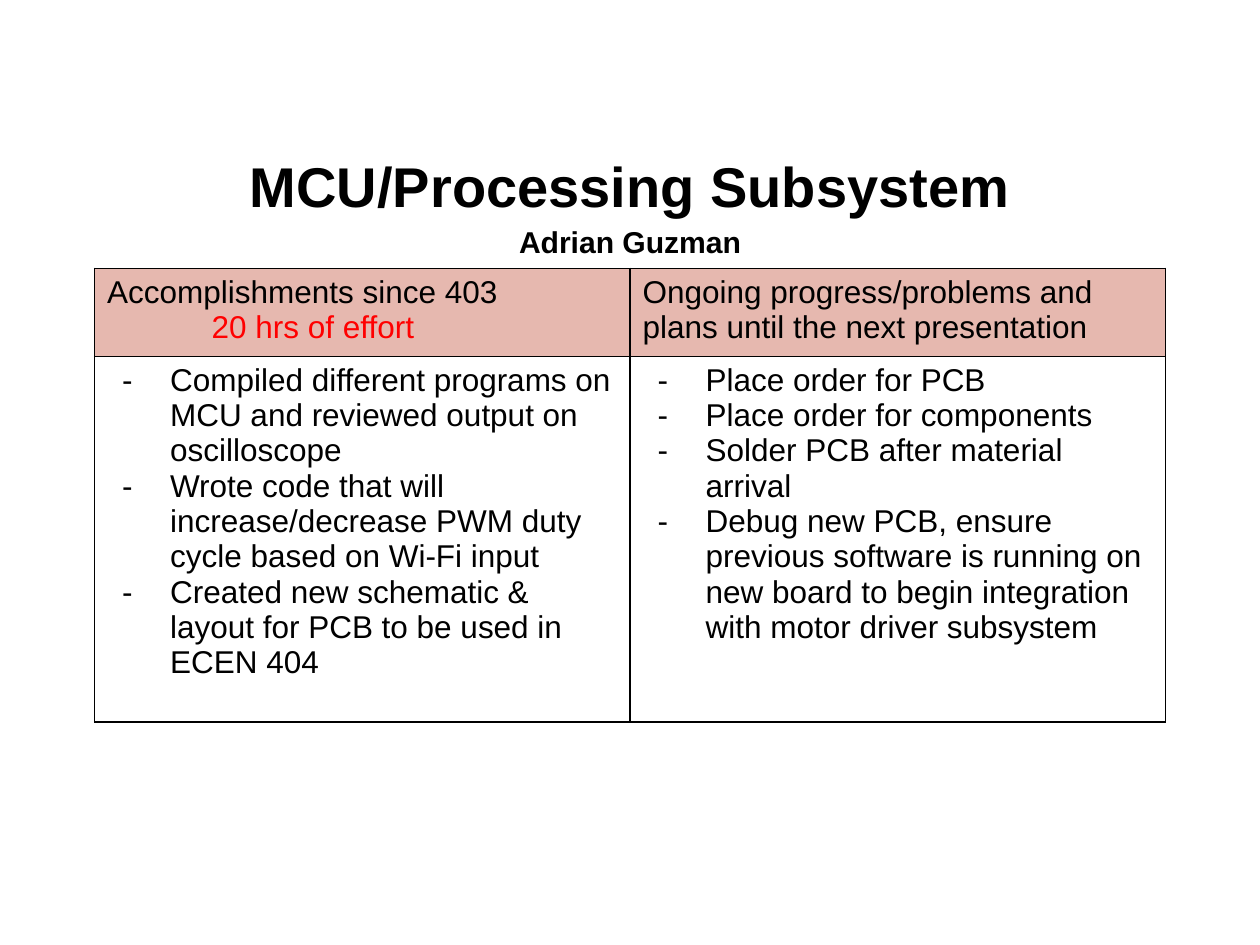
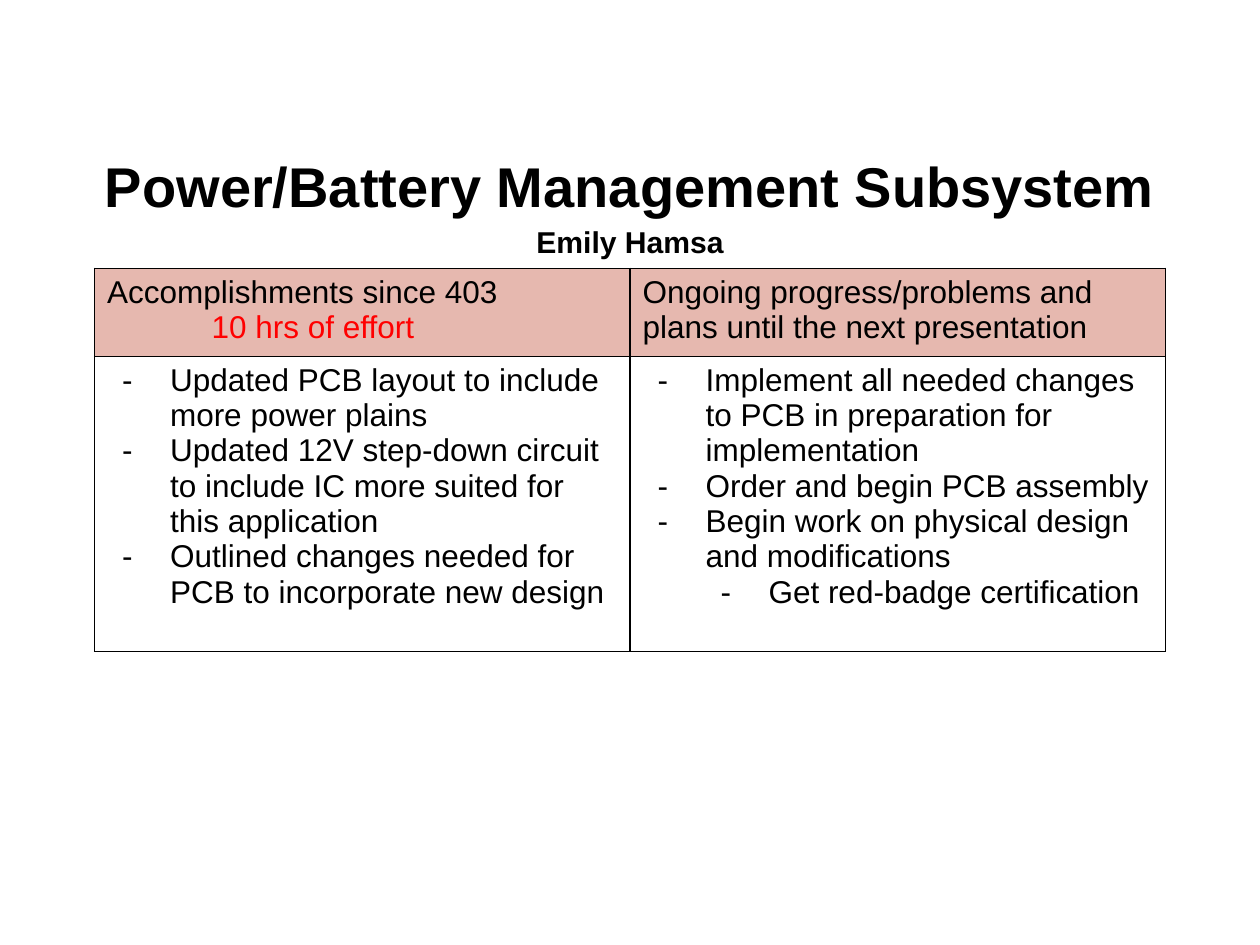
import pptx
import pptx.dml.color
import pptx.enum.text
import pptx.oxml
import pptx.oxml.ns
import pptx.util
from pptx.util import Inches

# Content: bullets are (level, text)
DONE_HEADING = "Accomplishments since 403"
PLAN_HEADING = "Ongoing progress/problems and plans until the next presentation"
SUBSYSTEMS = [
    {
        "title": "MCU/Processing Subsystem",
        "owner": "Adrian Guzman",
        "effort": "20 hrs of effort",
        "body_height": 2.9,
        "done": [
            (0, "Compiled different programs on MCU and reviewed output on oscilloscope"),
            (0, "Wrote code that will increase/decrease PWM duty cycle based on Wi-Fi input"),
            (0, "Created new schematic & layout for PCB to be used in ECEN 404"),
        ],
        "plans": [
            (0, "Place order for PCB"),
            (0, "Place order for components"),
            (0, "Solder PCB after material arrival"),
            (0, "Debug new PCB, ensure previous software is running on new board "
                "to begin integration with motor driver subsystem"),
        ],
    },
    {
        "title": "Power/Battery Management Subsystem",
        "owner": "Emily Hamsa",
        "effort": "10 hrs of effort",
        "body_height": 2.34,
        "done": [
            (0, "Updated PCB layout to include more power plains"),
            (0, "Updated 12V step-down circuit to include IC more suited for this application"),
            (0, "Outlined changes needed for PCB to incorporate new design"),
        ],
        "plans": [
            (0, "Implement all needed changes to PCB in preparation for implementation"),
            (0, "Order and begin PCB assembly"),
            (0, "Begin work on physical design and modifications"),
            (1, "Get red-badge certification"),
        ],
    },
]

# Shared look, lengths in inches
FONT, BLACK, RED, HEADER_FILL = "Arial", "000000", "FF0000", "E6B8AF"
WIDTH, HEIGHT = 10, 7.5
TITLE_AREA = (0.5, 1.15, 9, 0.88)
TABLE_LEFT, TABLE_TOP, HEADER_HEIGHT = 0.75, 2.13, 0.7
COLUMN_WIDTH = (WIDTH - 2 * TABLE_LEFT) / 2
INDENT_STEP, HANGING, EFFORT_INDENT = 0.5, 0.38, 0.83


def rgb(value):
    return pptx.dml.color.RGBColor.from_string(value)


def add_xml(parent, xml):
    namespace = pptx.oxml.ns.nsdecls("a")
    parent.append(pptx.oxml.parse_xml(xml.replace(" ", f" {namespace} ", 1)))


def style(para, size, color=BLACK, bold=False):
    para.font.name = FONT
    para.font.size = pptx.util.Pt(size)
    para.font.bold = bold
    para.font.color.rgb = rgb(color)


def indent(para, left, hanging=0):
    props = para._p.get_or_add_pPr()
    props.set("marL", str(Inches(left)))
    props.set("indent", str(-Inches(hanging)))
    return props


def write_lines(frame, lines):
    """Fill a text frame and return its paragraphs, one for each line."""
    paras = [frame.paragraphs[0]] + [frame.add_paragraph() for _ in lines[1:]]
    for para, line in zip(paras, lines):
        para.text = line
    return paras


def write_bullets(cell, bullets):
    paras = write_lines(cell.text_frame, [text for _, text in bullets])
    for para, (level, _) in zip(paras, bullets):
        para.level = level
        props = indent(para, INDENT_STEP * (level + 1), HANGING)
        add_xml(props, f'<a:buClr ><a:srgbClr val="{BLACK}"/></a:buClr>')
        add_xml(props, f'<a:buFont typeface="{FONT}"/>')
        add_xml(props, '<a:buChar char="-"/>')
        style(para, 18)


def format_cell(cell, fill=None):
    cell.margin_left = cell.margin_right = Inches(0.1)
    cell.margin_top = cell.margin_bottom = Inches(0.05)
    props = cell._tc.get_or_add_tcPr()
    for side in "LRTB":
        add_xml(props, f'<a:ln{side} w="{pptx.util.Pt(1)}"><a:solidFill>'
                       f'<a:srgbClr val="{BLACK}"/></a:solidFill></a:ln{side}>')
    if fill:
        cell.fill.solid()
        cell.fill.fore_color.rgb = rgb(fill)
    else:
        cell.fill.background()


def add_title(page, title, owner):
    box = page.shapes.title
    box.left, box.top, box.width, box.height = map(Inches, TITLE_AREA)
    frame = box.text_frame
    frame.word_wrap = True
    frame.auto_size = pptx.enum.text.MSO_AUTO_SIZE.NONE
    frame.vertical_anchor = pptx.enum.text.MSO_ANCHOR.MIDDLE
    for para, size in zip(write_lines(frame, [title, owner]), (32, 17.2)):
        para.alignment = pptx.enum.text.PP_ALIGN.CENTER
        para.line_spacing = 1.15
        para.space_before = pptx.util.Pt(0)
        style(para, size, bold=True)


def add_status_table(page, subsystem):
    heights = (HEADER_HEIGHT, subsystem["body_height"])
    table = page.shapes.add_table(
        2, 2, Inches(TABLE_LEFT), Inches(TABLE_TOP),
        Inches(2 * COLUMN_WIDTH), Inches(sum(heights))).table
    table.first_row = table.horz_banding = False
    for row, height in zip(table.rows, heights):
        row.height = Inches(height)
    for column in range(2):
        format_cell(table.cell(0, column), HEADER_FILL)
        format_cell(table.cell(1, column))

    # Header row
    heading, effort = write_lines(
        table.cell(0, 0).text_frame, [DONE_HEADING, subsystem["effort"]])
    style(heading, 18)
    indent(effort, EFFORT_INDENT)
    style(effort, 18, RED)
    style(write_lines(table.cell(0, 1).text_frame, [PLAN_HEADING])[0], 18)

    # Body row
    write_bullets(table.cell(1, 0), subsystem["done"])
    write_bullets(table.cell(1, 1), subsystem["plans"])


def main():
    deck = pptx.Presentation()
    deck.slide_width, deck.slide_height = Inches(WIDTH), Inches(HEIGHT)
    for subsystem in SUBSYSTEMS:
        page = deck.slides.add_slide(deck.slide_layouts.get_by_name("Title Only"))
        add_title(page, subsystem["title"], subsystem["owner"])
        add_status_table(page, subsystem)
    deck.save("out.pptx")


if __name__ == "__main__":
    main()
